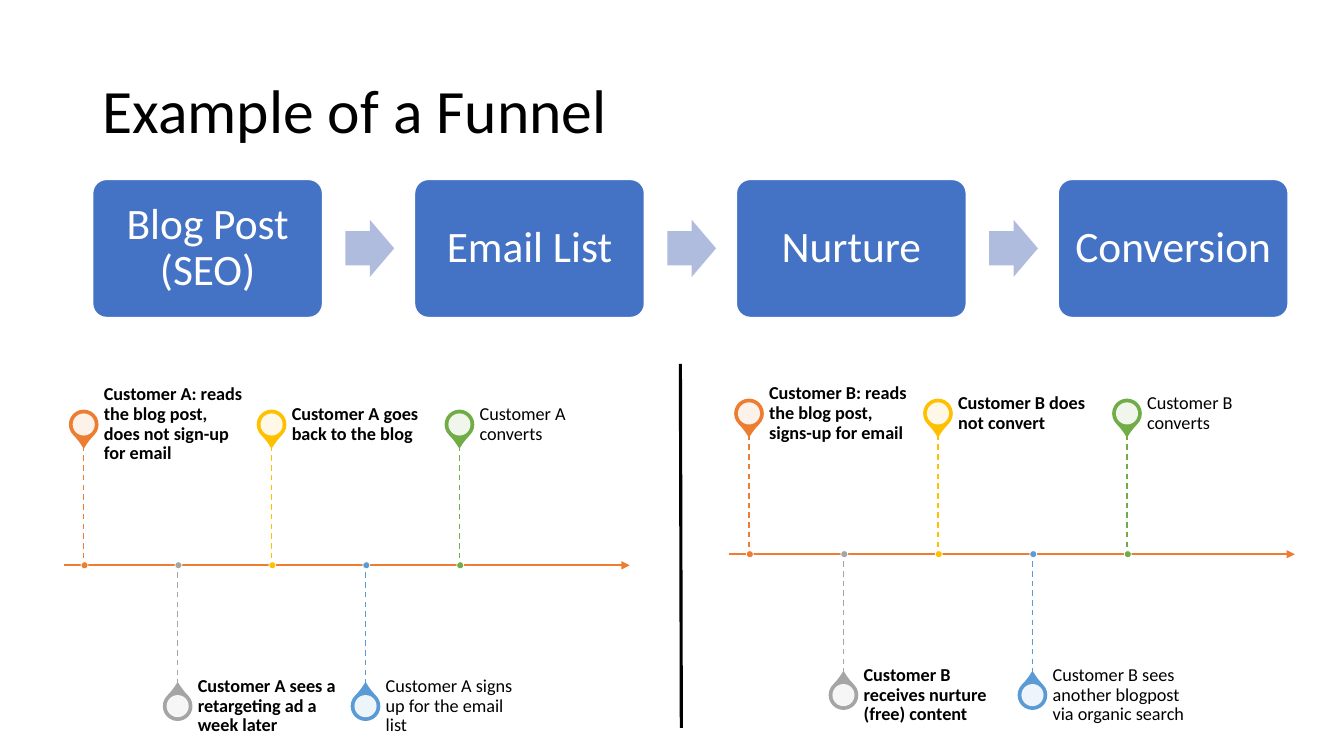
from lxml import etree
from pptx import Presentation
from pptx.dml.color import RGBColor
from pptx.enum.dml import MSO_LINE
from pptx.enum.shapes import MSO_CONNECTOR, MSO_SHAPE
from pptx.enum.text import MSO_ANCHOR, PP_ALIGN
from pptx.oxml.ns import qn
from pptx.util import Pt

STRAIGHT = MSO_CONNECTOR.STRAIGHT
ROUNDED = MSO_SHAPE.ROUNDED_RECTANGLE
ARROW = MSO_SHAPE.RIGHT_ARROW
TEAR = MSO_SHAPE.TEAR
OVAL = MSO_SHAPE.OVAL
DASH = MSO_LINE.DASH
MIDDLE = MSO_ANCHOR.MIDDLE
LEFT = PP_ALIGN.LEFT
CENTER = PP_ALIGN.CENTER

BLUE = "4472C4"
PALE_BLUE = "B0BCDE"
ORANGE = "ED7D31"
WHITE = "FFFFFF"
BLACK = "000000"
PIN_COLORS = [ORANGE, "A5A5A5", "FFC000", "5B9BD5", "70AD47"]

STAGES = ["Blog Post (SEO)", "Email List", "Nurture", "Conversion"]
CUSTOMER_A = [
    ("Customer A: reads the blog post, does not sign-up for email", True),
    ("Customer A sees a retargeting ad a week later", True),
    ("Customer A goes back to the blog", True),
    ("Customer A signs up for the email list", False),
    ("Customer A converts", False),
]
CUSTOMER_B = [
    ("Customer B: reads the blog post, signs-up for email", True),
    ("Customer B receives nurture (free) content", True),
    ("Customer B does not convert", True),
    ("Customer B sees another blogpost via organic search", False),
    ("Customer B converts", False),
]


def color(value):
    return RGBColor.from_string(value)


class FunnelPage:
    font = "Calibri"
    line_spacing = 0.9

    def __init__(self, page):
        self.page = page

    def label(self, box, text, size, ink, align=LEFT, bold=False, insets=(0, 0, 0, 0)):
        frame = box.text_frame
        frame.word_wrap = True
        frame.vertical_anchor = MIDDLE
        frame.margin_left, frame.margin_top, frame.margin_right, frame.margin_bottom = map(Pt, insets)
        frame.text = text
        para = frame.paragraphs[0]
        para.alignment = align
        para.line_spacing = self.line_spacing
        span = para.runs[0]
        span.font.name = self.font
        span.font.size = Pt(size)
        span.font.bold = bold
        span.font.color.rgb = color(ink)

    def text(self, left, top, width, height, text, size, **style):
        box = self.page.shapes.add_textbox(Pt(left), Pt(top), Pt(width), Pt(height))
        self.label(box, text, size, BLACK, **style)

    def shape(self, kind, left, top, width, height, fill, line=None, weight=1, adjust=()):
        shape = self.page.shapes.add_shape(kind, Pt(left), Pt(top), Pt(width), Pt(height))
        shape.shadow.inherit = False
        shape.fill.solid()
        shape.fill.fore_color.rgb = color(fill)
        if line:
            shape.line.color.rgb = color(line)
            shape.line.width = Pt(weight)
        else:
            shape.line.fill.background()
        for index, value in enumerate(adjust):
            shape.adjustments[index] = value
        return shape

    def line(self, x1, y1, x2, y2, ink, weight, dashed=False, arrow=False):
        line = self.page.shapes.add_connector(STRAIGHT, Pt(x1), Pt(y1), Pt(x2), Pt(y2))
        line.line.color.rgb = color(ink)
        line.line.width = Pt(weight)
        if dashed:
            line.line.dash_style = DASH
        properties = line._element.spPr
        if arrow:
            etree.SubElement(properties.find(qn("a:ln")), qn("a:tailEnd"), type="triangle")
        etree.SubElement(properties, qn("a:effectLst"))

    def stage(self, left, text):
        box = self.shape(ROUNDED, left, 128.2, 164.2, 98.6, BLUE, WHITE, adjust=[0.1])
        self.label(box, text, 31, WHITE, align=CENTER, insets=(9, 9, 9, 9))

    def pin(self, x, axis, direction, ink, text, bold):
        center = axis + direction * 100.6
        tear = self.shape(TEAR, x - 10.1, center - 10.1, 20.2, 20.2, ink, ink, adjust=[1.15])
        tear.rotation = 135 if direction < 0 else 315
        disc = self.shape(OVAL, x - 7.9, center - 7.9, 15.8, 15.8, WHITE)
        disc_color = disc._element.spPr.find(qn("a:solidFill"))[0]
        etree.SubElement(disc_color, qn("a:alpha"), val="90000")
        self.text(x + 14.4, center - 15.1, 106.6, 30.2, text, 13, bold=bold, insets=(0, 0, 6.5, 0))
        self.line(x, axis + direction * 85.4, x, axis, ink, 1, dashed=True)
        self.shape(OVAL, x - 1.9, axis - 2.5, 5, 5, ink, WHITE, 0.5)

    def timeline(self, left, axis, step, events):
        self.line(left, axis, left + 404.4, axis, ORANGE, 1.5, arrow=True)
        for index, (ink, (text, bold)) in enumerate(zip(PIN_COLORS, events)):
            direction = 1 if index % 2 else -1
            self.pin(left + 14.4 + index * step, axis, direction, ink, text, bold)


def main():
    deck = Presentation()
    deck.slide_width, deck.slide_height = Pt(960), Pt(540)
    page = FunnelPage(deck.slides.add_slide(deck.slide_layouts[6]))
    page.text(66.2, 28.8, 828, 104.4, "Example of a Funnel", 44, insets=(7.2, 3.6, 7.2, 3.6))
    for index, text in enumerate(STAGES):
        left = 66.2 + index * 229.9
        page.stage(left, text)
        if index < len(STAGES) - 1:
            page.shape(ARROW, left + 180.6, 157, 34.8, 40.8, PALE_BLUE, adjust=[0.6, 0.5])
    page.timeline(45.4, 403.8, 67.1, CUSTOMER_A)
    page.timeline(520.6, 395.9, 67.5, CUSTOMER_B)
    page.line(486, 260, 486.7, 520, BLACK, 2.25)
    deck.save("out.pptx")


if __name__ == "__main__":
    main()
